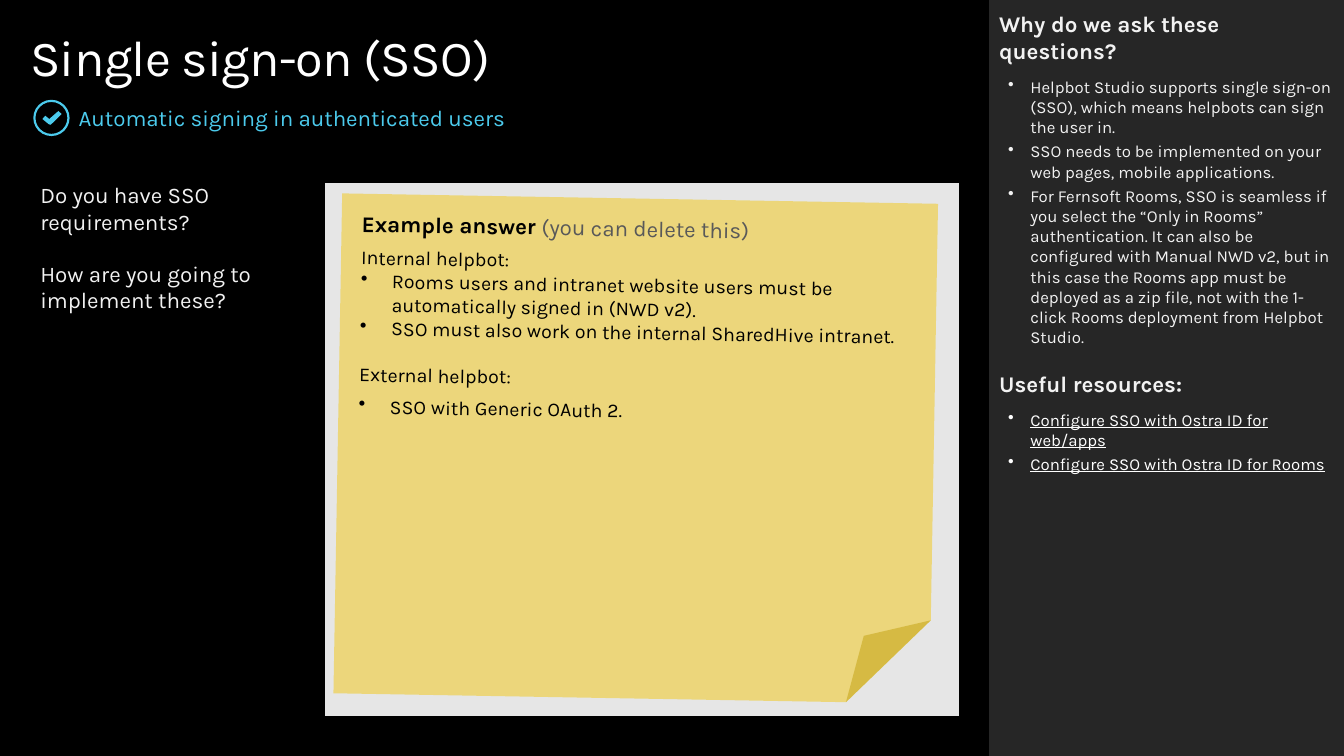
"""Build the single sign-on question slide with an example note and a help panel."""
from dataclasses import dataclass

from lxml.etree import SubElement
from pptx import Presentation
from pptx.dml.color import RGBColor
from pptx.enum.shapes import MSO_SHAPE as Shape
from pptx.enum.text import MSO_ANCHOR as Anchor
from pptx.oxml.ns import qn
from pptx.util import Inches, Pt

TITLE = [("plain", [("Single sign-on (SSO)", "title")])]
SUBTITLE = [("plain", [("Automatic signing in authenticated users", "accent")])]
QUESTIONS = [
    ("plain", [("Do you have SSO requirements?", "question")]),
    ("next_question", [("How are you going to implement these?", "question")]),
]
NOTE = [
    ("heading", [("Example answer ", "note_bold"), ("(you can delete this)", "note_hint")]),
    ("plain", [("Internal helpbot:", "note")]),
    ("note_bullet", [("Rooms users and intranet website users must be automatically "
                      "signed in (NWD v2).", "note")]),
    ("note_bullet", [("SSO must also work on the internal SharedHive intranet.", "note")]),
    ("section", [("External helpbot:", "note")]),
    ("note_last", [("SSO with Generic OAuth 2.", "note")]),
]
HELP = [
    ("heading", [("Why do we ask these questions?", "help_bold")]),
    ("help_bullet", [("Helpbot Studio supports single sign-on (SSO), which means helpbots "
                      "can sign the user in.", "help")]),
    ("help_bullet", [("SSO needs to be implemented on your web pages, mobile applications.", "help")]),
    ("help_bullet", [("For Fernsoft Rooms, SSO is seamless if you select the “Only in Rooms” "
                      "authentication. It can also be configured with Manual NWD v2, but in this "
                      "case the Rooms app must be deployed as a zip file, not with the 1-click "
                      "Rooms deployment from Helpbot Studio.", "help")]),
    ("section", [("Useful resources:", "help_bold")]),
    ("help_bullet", [("Configure SSO with Ostra ID for web/apps", "resource")]),
    ("help_bullet", [("Configure SSO with Ostra ID for Rooms", "resource")]),
]
TICK = [(69, 31), (44, 53), (33, 44), (25, 53), (42, 67), (47, 69), (53, 64), (78, 39)]

PLACES = {
    "panel": (73.6, 0, 26.4, 100),
    "title": (2.25, 3.47, 69.09, 8.13),
    "subtitle": (5.85, 13.73, 65.49, 3.6),
    "badge": (2.48, 13.2, 2.7, 4.8),
    "answers": (3, 24.27, 68.34, 70.93),
    "note": (25.13, 26.27, 44.34, 66.13),
}
QUESTION_SHARE = 0.31


@dataclass(frozen=True)
class Theme:
    font = "Karla"
    black, panel, canvas = "000000", "262626", "E6E6E6"
    accent, note = "4CCBED", "F2C811"
    text = {
        "title": (36, "FFFFFF", False, False),
        "accent": (16, "4CCBED", False, False),
        "question": (16, "F2F2F2", False, False),
        "note_bold": (16, "000000", True, False),
        "note_hint": (16, "595959", False, False),
        "note": (14, "000000", False, False),
        "help_bold": (16, "F2F2F2", True, False),
        "help": (12, "F2F2F2", False, False),
        "resource": (12, "FFFFFF", False, True),
    }
    spacing = {
        "plain": (0, 0, None),
        "next_question": (18.7, 0, None),
        "heading": (0, 6, None),
        "section": (16.4, 6, None),
        "note_bullet": (0, 0, (0.31, 0.31)),
        "note_last": (0, 6, (0.31, 0.31)),
        "help_bullet": (3, 0, (0.31, 0.22)),
    }


THEME = Theme()
deck = Presentation()
deck.slide_width, deck.slide_height = Inches(13.33), Inches(7.5)
slide = deck.slides.add_slide(deck.slide_layouts[6])


def place(part):
    sizes = (deck.slide_width, deck.slide_height) * 2
    return [round(size * share / 100) for size, share in zip(sizes, PLACES[part])]


def paint(fill, color):
    fill.solid()
    fill.fore_color.rgb = RGBColor.from_string(color)


def write(frame, paragraphs, insets=(0, 0, 0, 0), anchor=Anchor.TOP):
    frame.word_wrap = True
    frame.vertical_anchor = anchor
    frame.margin_left, frame.margin_top, frame.margin_right, frame.margin_bottom = map(Inches, insets)
    fill_paragraphs(frame, paragraphs)


def fill_paragraphs(frame, paragraphs):
    frame.text = "\n".join("".join(words for words, _ in runs) for _, runs in paragraphs)
    for paragraph, (layout, runs) in zip(frame.paragraphs, paragraphs):
        before, after, indent = THEME.spacing[layout]
        properties = paragraph._p.get_or_add_pPr()
        properties.set("algn", "l")
        if indent:
            left, hang = indent
            properties.set("marL", str(Inches(left)))
            properties.set("indent", str(-Inches(hang)))
            SubElement(properties, qn("a:buChar")).set("char", "•")
        paragraph.space_before, paragraph.space_after = Pt(before), Pt(after)
        paragraph.runs[0].text = runs[0][0]
        for words, _ in runs[1:]:
            paragraph.add_run().text = words
        for run, (_, role) in zip(paragraph.runs, runs):
            size, color, bold, underline = THEME.text[role]
            run.font.name, run.font.size = THEME.font, Pt(size)
            run.font.bold, run.font.underline = bold, underline
            run.font.color.rgb = RGBColor.from_string(color)


def add_block(preset, part, color):
    block = slide.shapes.add_shape(preset, *place(part))
    return finish(block, color)


def finish(block, color):
    block.shadow.inherit = False
    paint(block.fill, color)
    block.line.fill.background()
    return block


def add_badge():
    ring = add_block(Shape.DONUT, "badge", THEME.accent)
    ring.adjustments[0] = 0.06
    left, top, width, height = place("badge")
    points = [(round(left + width * x / 100), round(top + height * y / 100)) for x, y in TICK]
    outline = slide.shapes.build_freeform(*points[0])
    outline.add_line_segments(points[1:])
    finish(outline.convert_to_shape(), THEME.accent)


def add_answers():
    left, top, width, height = place("answers")
    table = slide.shapes.add_table(1, 2, left, top, width, height).table
    table.first_row = table.horz_banding = False
    table._tbl.tblPr.find(qn("a:tableStyleId")).text = "{2D5ABB26-0587-4C30-8999-92F81FD0307C}"
    table.columns[0].width = round(width * QUESTION_SHARE)
    table.columns[1].width = width - table.columns[0].width
    questions, answer = table.rows[0].cells
    questions.margin_left = questions.margin_top = questions.margin_bottom = 0
    questions.margin_right = Inches(0.1)
    fill_paragraphs(questions.text_frame, QUESTIONS)
    for cell in (questions, answer):
        border = SubElement(cell._tc.get_or_add_tcPr(), qn("a:lnB"), w=str(Pt(6)))
        SubElement(SubElement(border, qn("a:solidFill")), qn("a:srgbClr"), val=THEME.black)
    questions.fill.background()
    paint(answer.fill, THEME.canvas)


def add_note():
    note = add_block(Shape.FOLDED_CORNER, "note", THEME.note)
    note.rotation = 1
    tint = note.fill._xPr.find(qn("a:solidFill")).find(qn("a:srgbClr"))
    SubElement(tint, qn("a:alpha")).set("val", "50000")
    write(note.text_frame, NOTE, (0.2, 0.16, 0.2, 0.16))


paint(slide.background.fill, THEME.black)
panel = add_block(Shape.RECTANGLE, "panel", THEME.panel)
write(panel.text_frame, HELP, (0.1, 0.1, 0.08, 0.1))
add_badge()
title = slide.shapes.add_textbox(*place("title")).text_frame
write(title, TITLE)
title.paragraphs[0].runs[0].font._element.set("spc", "-50")
write(slide.shapes.add_textbox(*place("subtitle")).text_frame, SUBTITLE, anchor=Anchor.MIDDLE)
add_answers()
add_note()
deck.save("out.pptx")
